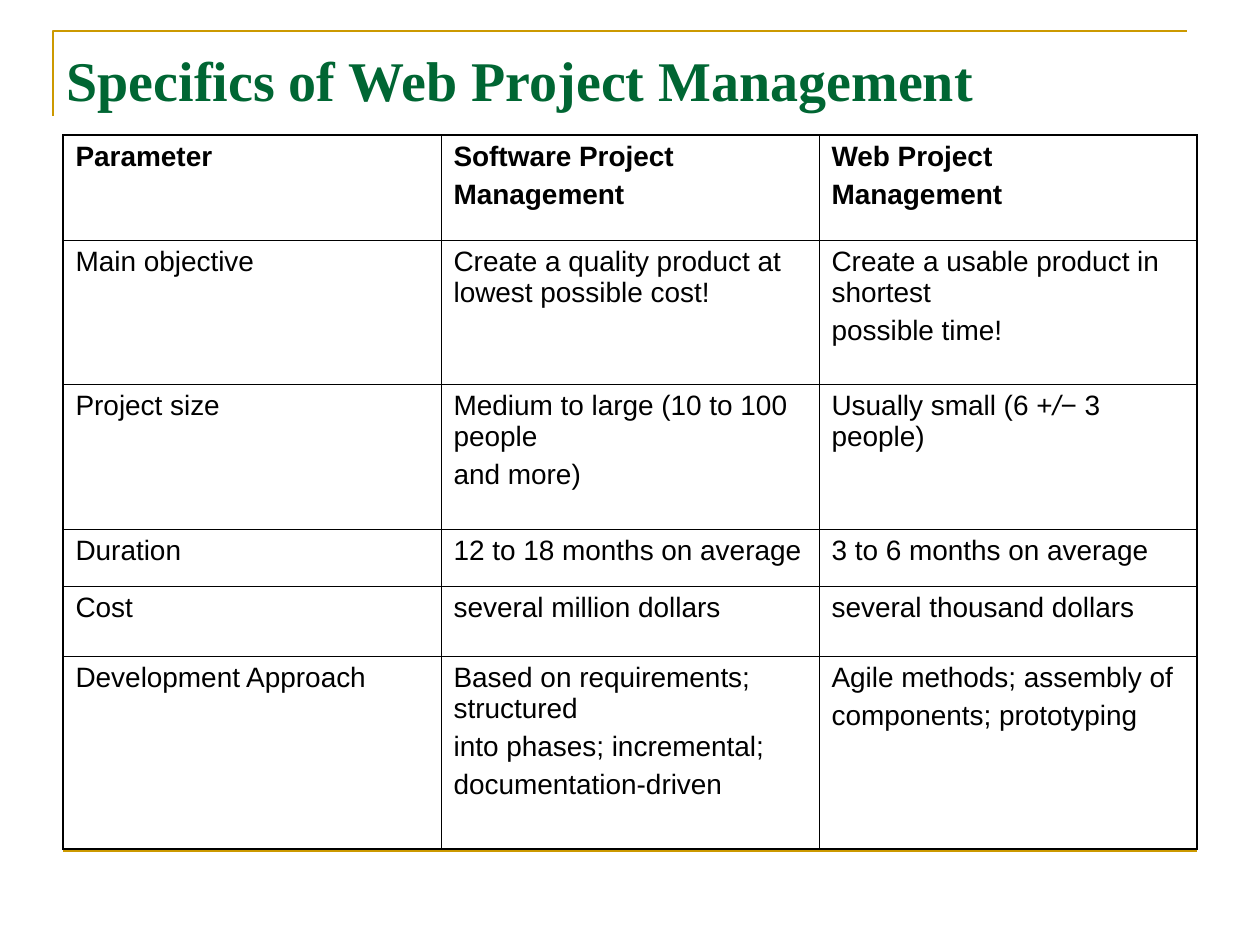
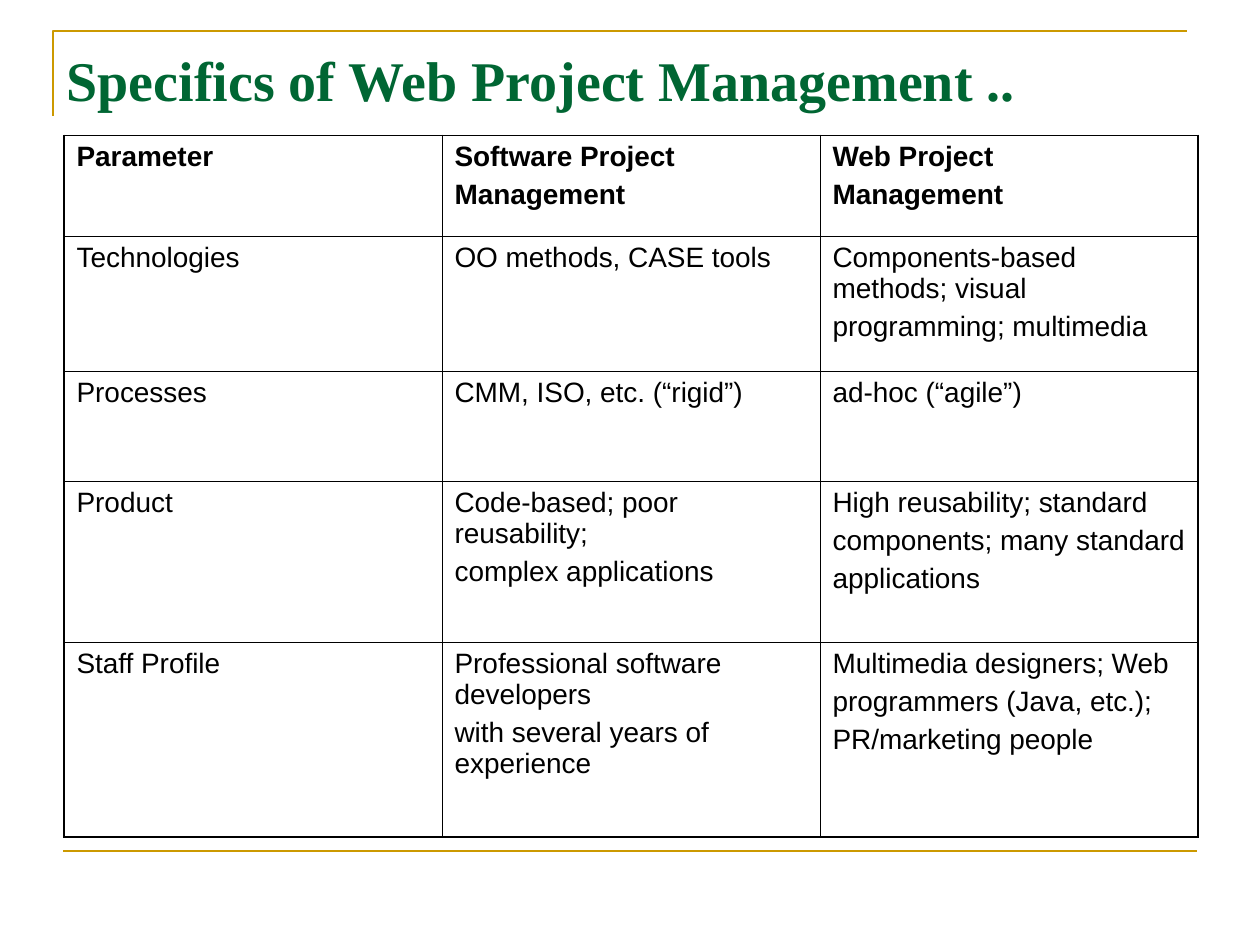
from dataclasses import dataclass

from lxml.etree import SubElement
from pptx import Presentation
from pptx.dml.color import RGBColor as Color
from pptx.enum.shapes import MSO_CONNECTOR as Connector
from pptx.enum.text import MSO_ANCHOR as Anchor, MSO_AUTO_SIZE as AutoSize, PP_ALIGN as Align
from pptx.oxml.ns import qn
from pptx.util import Emu, Pt

EMU_PER_PX = 914400 / 126
TITLE_ONLY = 5


def px(length):
    return Emu(round(length * EMU_PER_PX))


@dataclass(frozen=True)
class Theme:
    gold: str = "CC9900"
    green: str = "006633"
    black: str = "000000"
    title_font: str = "Times New Roman"
    body_font: str = "Arial"
    title_size: float = 32
    body_size: float = 16
    paragraph_gap: float = 4
    frame_line: float = 1.5
    thin: float = 0.45
    thick: float = 1.08


class SlideBuilder:
    """Holds the theme and the current slide."""

    def __init__(self, theme):
        self.theme = theme
        self.deck = Presentation()
        self.deck.slide_width, self.deck.slide_height = px(1260), px(945)
        self.slide = None

    def add_slide(self, title):
        self.slide = self.deck.slides.add_slide(self.deck.slide_layouts[TITLE_ONLY])
        self.corner([(53, 116), (53, 31), (1187, 31)])
        self.rule(63, 1197, 851)
        self.title(title)

    def style_line(self, line):
        line.color.rgb = Color.from_string(self.theme.gold)
        line.width = Pt(self.theme.frame_line)

    def corner(self, points):
        start, *rest = [(px(x), px(y)) for x, y in points]
        builder = self.slide.shapes.build_freeform(*start)
        builder.add_line_segments(rest, close=False)
        shape = builder.convert_to_shape()
        shape.fill.background()
        shape.shadow.inherit = False
        self.style_line(shape.line)

    def rule(self, left, right, y):
        line = self.slide.shapes.add_connector(
            Connector.STRAIGHT, px(left), px(y), px(right), px(y))
        self.style_line(line.line)
        SubElement(line.element.spPr, qn("a:effectLst"))

    def title(self, text):
        box = self.slide.shapes.title
        box.left, box.top, box.width, box.height = px(54), px(35), px(1134), px(89)
        frame = box.text_frame
        frame.word_wrap = True
        frame.auto_size = AutoSize.NONE
        frame.vertical_anchor = Anchor.MIDDLE
        para = frame.paragraphs[0]
        para.alignment = Align.LEFT
        self.span(para, text, self.theme.title_font, self.theme.title_size,
                  self.theme.green, bold=True)

    def span(self, para, text, font, size, color, bold=False, italic=False):
        span = para.add_run()
        span.text = text
        span.font.name = font
        span.font.size = Pt(size)
        span.font.color.rgb = Color.from_string(color)
        span.font.bold = bold
        span.font.italic = italic

    def table(self, left, top, column_width, row_heights, rows, top_border):
        theme = self.theme
        column_count = len(rows[0])
        table = self.slide.shapes.add_table(
            len(rows), column_count, px(left), px(top),
            px(column_width * column_count), px(sum(row_heights))).table
        table.first_row = table.horz_banding = False
        for column in table.columns:
            column.width = px(column_width)
        last_row, last_column = len(rows) - 1, column_count - 1
        for r, (height, texts) in enumerate(zip(row_heights, rows)):
            table.rows[r].height = px(height)
            for c, text in enumerate(texts):
                cell = table.cell(r, c)
                self.cell_text(cell, text, bold=r == 0)
                self.borders(cell, {
                    "L": theme.thin if c else theme.thick,
                    "R": theme.thick if c == last_column else theme.thin,
                    "T": theme.thin if r else top_border,
                    "B": theme.thick if r == last_row else theme.thin,
                })
                cell.fill.background()

    def cell_text(self, cell, text, bold):
        """A line break starts a paragraph; asterisks enclose italics."""
        frame = cell.text_frame
        for number, line in enumerate(text.split("\n")):
            para = frame.add_paragraph() if number else frame.paragraphs[0]
            para.space_before = Pt(self.theme.paragraph_gap)
            for index, part in enumerate(line.split("*")):
                self.span(para, part, self.theme.body_font, self.theme.body_size,
                          self.theme.black, bold, italic=index % 2 == 1)

    def borders(self, cell, widths):
        properties = cell._tc.get_or_add_tcPr()
        for side, width in widths.items():
            line = SubElement(properties, qn(f"a:ln{side}"), w=str(Pt(width)))
            fill = SubElement(line, qn("a:solidFill"))
            SubElement(fill, qn("a:srgbClr"), val=self.theme.black)


HEADER = ("Parameter", "Software Project\nManagement", "Web Project\nManagement")

MANAGEMENT_ROWS = [
    HEADER,
    ("Main objective", "Create a quality product at lowest possible cost!",
     "Create a usable product in shortest\npossible time!"),
    ("Project size", "Medium to large (10 to 100 people\nand more)",
     "Usually small (6 +*/*− 3 people)"),
    ("Duration", "12 to 18 months on average", "3 to 6 months on average"),
    ("Cost", "several million dollars", "several thousand dollars"),
    ("Development Approach",
     "Based on requirements; structured\ninto phases; incremental;\ndocumentation-driven",
     "Agile methods; assembly of\ncomponents; prototyping"),
]

PRODUCTION_ROWS = [
    HEADER,
    ("Technologies", "OO methods, CASE tools",
     "Components-based methods; visual\nprogramming; multimedia"),
    ("Processes", "CMM, ISO, etc. (“rigid”)", "ad-hoc (“agile”)"),
    ("Product", "Code-based; poor reusability;\ncomplex applications",
     "High reusability; standard\ncomponents; many standard\napplications"),
    ("Staff Profile",
     "Professional software developers\nwith several years of experience",
     "Multimedia designers; Web\nprogrammers (Java, etc.);\nPR/marketing people"),
]


def main():
    theme = Theme()
    builder = SlideBuilder(theme)

    # Objective, size, duration, cost and approach
    builder.add_slide("Specifics of Web Project Management")
    builder.table(63, 135, 378, [105, 144, 145, 57, 70, 193],
                  MANAGEMENT_ROWS, top_border=theme.thick)

    # Technologies, processes, product and staff
    builder.add_slide("Specifics of Web Project Management ..")
    builder.table(64, 135, 378, [101, 135, 110, 161, 195],
                  PRODUCTION_ROWS, top_border=theme.thin)

    builder.deck.save("out.pptx")


if __name__ == "__main__":
    main()
